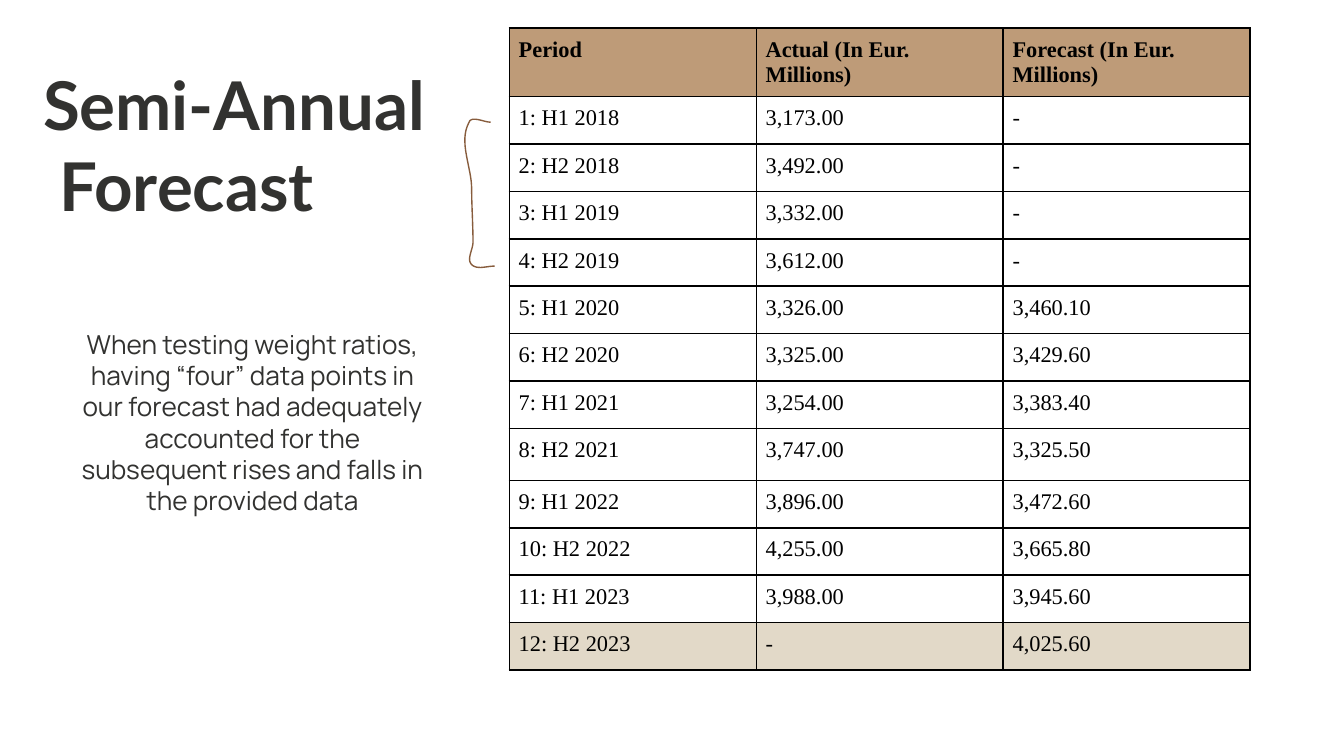
from dataclasses import dataclass
from typing import NamedTuple

from lxml.etree import SubElement
from pptx import Presentation
from pptx.dml.color import RGBColor
from pptx.enum.text import MSO_ANCHOR as Anchor, MSO_AUTO_SIZE as AutoSize, PP_ALIGN as Align
from pptx.oxml.ns import qn
from pptx.util import Pt


@dataclass(frozen=True)
class Theme:
    ink: str = "323230"
    black: str = "000000"
    header: str = "BE9B78"
    highlight: str = "E2D9C8"
    bracket: str = "875C3C"
    title_font: str = "Lato"
    body_font: str = "Manrope"
    table_font: str = "Times New Roman"
    title_size: float = 36
    body_size: float = 14
    table_size: float = 12
    border_width: float = 1
    bracket_width: float = 0.75


class Box(NamedTuple):
    left: float
    top: float
    width: float
    height: float


class Point(NamedTuple):
    x: float
    y: float


class Curve(NamedTuple):
    first_control: Point
    second_control: Point
    end: Point


class Period(NamedTuple):
    label: str
    actual: str
    forecast: str


THEME = Theme()
TITLE_BOX = Box(15.84, 26.64, 239.76, 58.32)
NOTE_BOX = Box(33.12, 168.48, 204.48, 116.64)
TABLE_ORIGIN = Point(272.88, 15.12)
COLUMN_WIDTH = 132.3
ROW_HEIGHT = 25.4
TALL_ROW_HEIGHT = 27.8
TALL_ROWS = (0, 8)
TEXT_INSET = 7.2
CELL_INSET = 5
CURVE_STEPS = 16

TITLE = "Semi-Annual\n Forecast"
NOTE = (
    "When testing weight ratios, having “four” data points in our forecast had "
    "adequately accounted for the subsequent rises and falls in the provided data"
)
PERIODS = [
    Period("Period", "Actual (In Eur. Millions)", "Forecast (In Eur. Millions)"),
    Period("1: H1 2018", "3,173.00", "-"),
    Period("2: H2 2018", "3,492.00", "-"),
    Period("3: H1 2019", "3,332.00", "-"),
    Period("4: H2 2019", "3,612.00", "-"),
    Period("5: H1 2020", "3,326.00", "3,460.10"),
    Period("6: H2 2020", "3,325.00", "3,429.60"),
    Period("7: H1 2021", "3,254.00", "3,383.40"),
    Period("8: H2 2021", "3,747.00", "3,325.50"),
    Period("9: H1 2022", "3,896.00", "3,472.60"),
    Period("10: H2 2022", "4,255.00", "3,665.80"),
    Period("11: H1 2023", "3,988.00", "3,945.60"),
    Period("12: H2 2023", "-", "4,025.60"),
]
BRACKET_START = Point(262.8, 65.5)
BRACKET_CURVES = [
    Curve(Point(259.2, 65.5), Point(252.7, 61.9), Point(251.3, 65.5)),
    Curve(Point(245.5, 76.3), Point(252.7, 89.3), Point(252.7, 101.5)),
    Curve(Point(252.7, 110.9), Point(253.4, 120.2), Point(253.4, 129.6)),
    Curve(Point(253.4, 133.9), Point(249.8, 139), Point(252.7, 141.8)),
    Curve(Point(255.6, 144.7), Point(260.6, 142.6), Point(265, 142.6)),
]


def color(value: str) -> RGBColor:
    return RGBColor.from_string(value)


def style_text(frame, font: str, size: float, ink: str, bold: bool, align: Align) -> None:
    for paragraph in frame.paragraphs:
        paragraph.alignment = align
        for run in paragraph.runs:
            run.font.name = font
            run.font.size = Pt(size)
            run.font.bold = bold
            run.font.color.rgb = color(ink)


def set_frame(frame, inset: float) -> None:
    frame.word_wrap = True
    frame.vertical_anchor = Anchor.TOP
    frame.margin_left = frame.margin_right = Pt(inset)
    frame.margin_top = frame.margin_bottom = Pt(inset)


def add_title(slide) -> None:
    title = slide.shapes.title
    title.left, title.top, title.width, title.height = map(Pt, TITLE_BOX)
    frame = title.text_frame
    frame.text = TITLE
    frame.auto_size = AutoSize.NONE
    set_frame(frame, TEXT_INSET)
    style_text(frame, THEME.title_font, THEME.title_size, THEME.ink, True, Align.LEFT)


def add_note(slide) -> None:
    frame = slide.shapes.add_textbox(*map(Pt, NOTE_BOX)).text_frame
    frame.text = NOTE
    set_frame(frame, TEXT_INSET)
    frame.auto_size = AutoSize.SHAPE_TO_FIT_TEXT
    style_text(frame, THEME.body_font, THEME.body_size, THEME.ink, False, Align.CENTER)


def add_borders(cell) -> None:
    properties = cell._tc.get_or_add_tcPr()
    for position, side in enumerate(("a:lnL", "a:lnR", "a:lnT", "a:lnB")):
        border = SubElement(properties, qn(side), w=str(Pt(THEME.border_width)))
        fill = SubElement(border, qn("a:solidFill"))
        SubElement(fill, qn("a:srgbClr"), val=THEME.black)
        properties.remove(border)
        properties.insert(position, border)


def fill_cell(cell, text: str, fill: str | None, bold: bool) -> None:
    cell.text_frame.text = text
    cell.vertical_anchor = Anchor.TOP
    cell.margin_left = cell.margin_right = Pt(CELL_INSET)
    cell.margin_top = cell.margin_bottom = Pt(CELL_INSET)
    if fill:
        cell.fill.solid()
        cell.fill.fore_color.rgb = color(fill)
    else:
        cell.fill.background()
    add_borders(cell)
    style_text(cell.text_frame, THEME.table_font, THEME.table_size, THEME.black, bold, Align.LEFT)


def add_forecast_table(slide, periods: list[Period]) -> None:
    heights = [TALL_ROW_HEIGHT if row in TALL_ROWS else ROW_HEIGHT for row in range(len(periods))]
    columns = len(Period._fields)
    size = Point(COLUMN_WIDTH * columns, sum(heights))
    table = slide.shapes.add_table(len(periods), columns, *map(Pt, TABLE_ORIGIN + size)).table
    for column in table.columns:
        column.width = Pt(COLUMN_WIDTH)
    fills = {0: THEME.header, len(periods) - 1: THEME.highlight}
    for row, period in enumerate(periods):
        table.rows[row].height = Pt(heights[row])
        for column, text in enumerate(period):
            fill_cell(table.cell(row, column), text, fills.get(row), row == 0)


def curve_points(start: Point, curve: Curve) -> list[Point]:
    points = []
    for step in range(1, CURVE_STEPS + 1):
        t = step / CURVE_STEPS
        weights = ((1 - t) ** 3, 3 * t * (1 - t) ** 2, 3 * t**2 * (1 - t), t**3)
        anchors = (start, *curve)
        points.append(Point(*(sum(w * a[axis] for w, a in zip(weights, anchors)) for axis in (0, 1))))
    return points


def add_bracket(slide, start: Point, curves: list[Curve]) -> None:
    outline = [start]
    for curve in curves:
        outline += curve_points(outline[-1], curve)
    builder = slide.shapes.build_freeform(Pt(start.x), Pt(start.y))
    builder.add_line_segments([(Pt(x), Pt(y)) for x, y in outline[1:]], close=False)
    bracket = builder.convert_to_shape()
    bracket.shadow.inherit = False
    bracket.fill.background()
    bracket.line.color.rgb = color(THEME.bracket)
    bracket.line.width = Pt(THEME.bracket_width)


def main() -> None:
    deck = Presentation()
    deck.slide_width, deck.slide_height = Pt(720), Pt(405)
    slide = deck.slides.add_slide(deck.slide_layouts[5])
    add_title(slide)
    add_forecast_table(slide, PERIODS)
    add_bracket(slide, BRACKET_START, BRACKET_CURVES)
    add_note(slide)
    deck.save("out.pptx")


if __name__ == "__main__":
    main()
